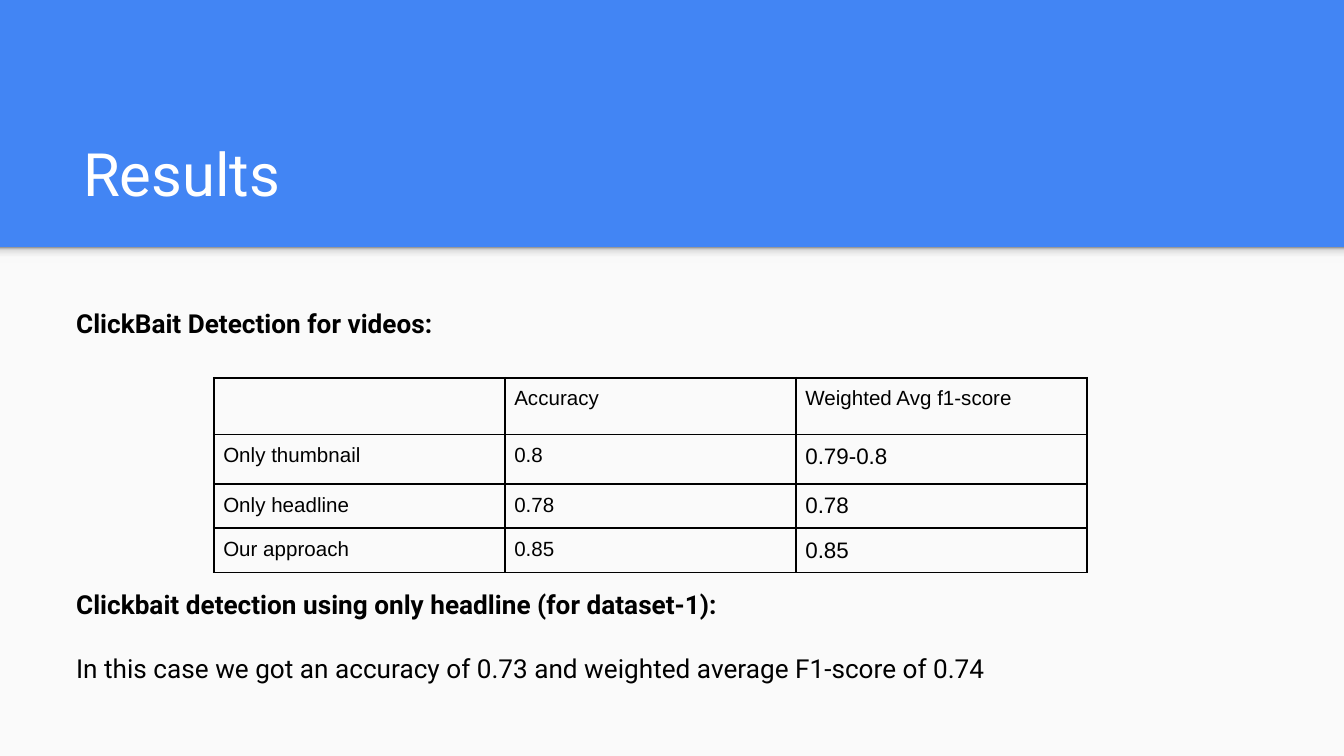
from copy import deepcopy
from typing import NamedTuple

from lxml.etree import SubElement
from pptx import Presentation
from pptx.dml.color import RGBColor
from pptx.enum.shapes import MSO_SHAPE
from pptx.enum.text import MSO_ANCHOR, PP_ALIGN
from pptx.oxml.ns import qn
from pptx.util import Cm, Pt

BLUE = RGBColor(0x42, 0x85, 0xF4)
OFF_WHITE = RGBColor(0xFA, 0xFA, 0xFA)
WHITE = RGBColor(0xFF, 0xFF, 0xFF)
BLACK = RGBColor(0, 0, 0)
SHADE_STOPS = (
    (0, RGBColor(0xF9, 0xF9, 0xF9)),
    (0.36, RGBColor(0xF9, 0xF9, 0xF9)),
    (0.8, RGBColor(0xDE, 0xDE, 0xDE)),
    (1, RGBColor(0x99, 0x99, 0x99)),
)
SLIDE_WIDTH, SLIDE_HEIGHT = Cm(25.4), Cm(14.29)
HEADER_HEIGHT = Cm(4.67)
TEXT_INSET = Cm(0.25)
CELL_INSET = Cm(0.18)
COLUMN_WIDTH = Cm(5.5)


class ResultRow(NamedTuple):
    height: float
    texts: tuple[str, str, str]
    score_size: int = 12


class BodyLine(NamedTuple):
    text: str
    space_before: int
    bold: bool = True


RESULTS = (
    ResultRow(1.07, ("", "Accuracy", "Weighted Avg f1-score"), 11),
    ResultRow(0.94, ("Only thumbnail", "0.8", "0.79-0.8")),
    ResultRow(0.82, ("Only headline", "0.78", "0.78")),
    ResultRow(0.82, ("Our approach", "0.85", "0.85")),
)
BODY = (
    BodyLine("ClickBait Detection for videos:", 0),
    BodyLine("Clickbait detection using only headline (for dataset-1):", 134),
    BodyLine(
        "In this case we got an accuracy of 0.73 and weighted average F1-score of 0.74",
        17,
        bold=False,
    ),
)


def set_insets(box, inset: int) -> None:
    box.margin_left = box.margin_right = inset
    box.margin_top = box.margin_bottom = inset


def format_text(paragraph, font_name: str, size: int, color: RGBColor, bold: bool = False) -> None:
    for font in (paragraph.font, *(run.font for run in paragraph.runs)):
        font.name = font_name
        font.size = Pt(size)
        font.bold = bold
        font.color.rgb = color


def add_band(slide, top: int, height: int):
    band = slide.shapes.add_shape(MSO_SHAPE.RECTANGLE, 0, top, SLIDE_WIDTH, height)
    band.shadow.inherit = False
    band.line.fill.background()
    return band


def add_background(slide) -> None:
    slide.background.fill.solid()
    slide.background.fill.fore_color.rgb = BLUE

    panel = add_band(slide, HEADER_HEIGHT, SLIDE_HEIGHT - HEADER_HEIGHT)
    panel.fill.solid()
    panel.fill.fore_color.rgb = OFF_WHITE

    shade = add_band(slide, HEADER_HEIGHT, Cm(0.3))
    shade.fill.gradient()
    shade.fill.gradient_angle = 90
    stop_list = shade._element.spPr.find(".//" + qn("a:gsLst"))
    while len(stop_list) < len(SHADE_STOPS):
        stop_list.append(deepcopy(stop_list[0]))
    for stop, (position, color) in zip(shade.fill.gradient_stops, SHADE_STOPS):
        stop.position = position
        stop.color.rgb = color


def add_title(slide) -> None:
    title = slide.shapes.title
    title.left, title.top, title.width, title.height = Cm(1.32), Cm(2.06), Cm(22.83), Cm(2.13)
    frame = title.text_frame
    frame.text = "Results"
    frame.vertical_anchor = MSO_ANCHOR.BOTTOM
    set_insets(frame, TEXT_INSET)
    frame.paragraphs[0].alignment = PP_ALIGN.LEFT
    format_text(frame.paragraphs[0], "Roboto", 32, WHITE)


def add_borders(cell) -> None:
    properties = cell._tc.get_or_add_tcPr()
    for side in ("a:lnL", "a:lnR", "a:lnT", "a:lnB"):
        border = SubElement(properties, qn(side), w=str(Pt(1)))
        fill = SubElement(border, qn("a:solidFill"))
        SubElement(fill, qn("a:srgbClr"), val=str(BLACK))


def add_results_table(slide) -> None:
    column_count = len(RESULTS[0].texts)
    height = Cm(sum(row.height for row in RESULTS))
    table = slide.shapes.add_table(
        len(RESULTS), column_count, Cm(4.04), Cm(7.14), COLUMN_WIDTH * column_count, height
    ).table
    table.first_row = table.horz_banding = False
    for column in table.columns:
        column.width = COLUMN_WIDTH
    for table_row, result in zip(table.rows, RESULTS):
        table_row.height = Cm(result.height)
        sizes = (11, 11, result.score_size)
        for cell, text, size in zip(table_row.cells, result.texts, sizes):
            cell.text_frame.text = text
            set_insets(cell, CELL_INSET)
            format_text(cell.text_frame.paragraphs[0], "Arial", size, BLACK)
            add_borders(cell)
            cell.fill.background()


def add_body(slide) -> None:
    frame = slide.shapes.add_textbox(Cm(1.19), Cm(5.56), Cm(23.11), Cm(7.7)).text_frame
    frame.word_wrap = True
    set_insets(frame, TEXT_INSET)
    for index, line in enumerate(BODY):
        paragraph = frame.add_paragraph() if index else frame.paragraphs[0]
        paragraph.text = line.text
        paragraph.space_before = Pt(line.space_before)
        format_text(paragraph, "Roboto", 14, BLACK, line.bold)


def main() -> None:
    presentation = Presentation()
    presentation.slide_width, presentation.slide_height = SLIDE_WIDTH, SLIDE_HEIGHT
    slide = presentation.slides.add_slide(presentation.slide_layouts[5])
    add_background(slide)
    add_title(slide)
    add_results_table(slide)
    add_body(slide)
    presentation.save("out.pptx")


if __name__ == "__main__":
    main()
